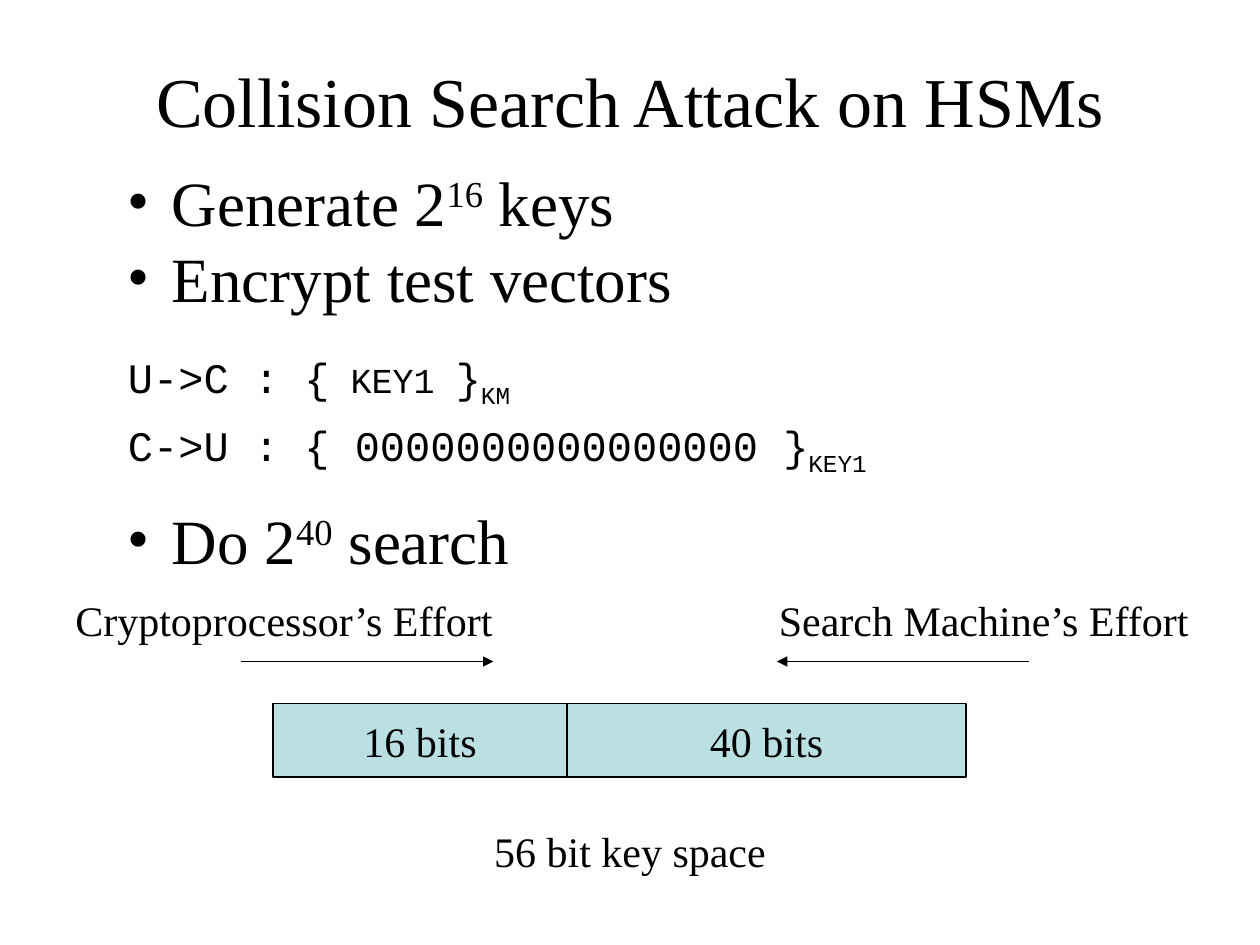
"""Build the slide on a collision search attack on HSMs."""
from lxml.etree import SubElement
from pptx import Presentation
from pptx.dml.color import RGBColor
from pptx.enum.shapes import MSO_CONNECTOR, MSO_SHAPE
from pptx.enum.text import MSO_ANCHOR, MSO_AUTO_SIZE, PP_ALIGN
from pptx.oxml.ns import qn
from pptx.util import Inches, Pt

BLACK = RGBColor(0x00, 0x00, 0x00)
TEAL = RGBColor(0xBB, 0xE0, 0xE3)
SERIF, MONO = "Times New Roman", "Courier New"


def write(p, text, size=24, font=SERIF, base=0, align=None):
    if align is not None:
        p.alignment = align
    r = p.add_run()
    r.text = text
    r.font.size, r.font.name = Pt(size), font
    r.font.color.rgb = BLACK
    if base:
        r.font._element.set("baseline", str(base * 1000))


prs = Presentation()
prs.slide_width, prs.slide_height = Inches(10), Inches(7.5)
col, row = prs.slide_width // 120, prs.slide_height // 90
s = prs.slides.add_slide(prs.slide_layouts[5])

sp = s.shapes.title
sp.left, sp.top, sp.width, sp.height = 3 * col, 2 * row, 114 * col, 15 * row
tf = sp.text_frame
tf.auto_size = MSO_AUTO_SIZE.NONE
tf.vertical_anchor = MSO_ANCHOR.MIDDLE
write(tf.paragraphs[0], "Collision Search Attack on HSMs", size=40, align=PP_ALIGN.CENTER)

for text, left, width in [("16 bits", 26, 28), ("40 bits", 54, 38)]:
    sp = s.shapes.add_shape(MSO_SHAPE.RECTANGLE, left * col, 67 * row, width * col, 7 * row)
    sp.shadow.inherit = False
    sp.fill.solid()
    sp.fill.fore_color.rgb = TEAL
    sp.line.color.rgb = BLACK
    sp.line.width = Pt(0.75)
    tf = sp.text_frame
    tf.word_wrap = False
    tf.vertical_anchor = MSO_ANCHOR.MIDDLE
    write(tf.paragraphs[0], text, align=PP_ALIGN.CENTER)

BULLET, SUP = dict(size=36), dict(size=36, base=30)
CODE, SUB = dict(font=MONO), dict(font=MONO, base=-25)
steps = [
    (True, 0, [("Generate 2", BULLET), ("16", SUP), (" keys", BULLET)]),
    (True, 0, [("Encrypt test vectors", BULLET)]),
    (False, 21, [("U->C : {", CODE), (" KEY1 ", dict(size=20, font=MONO)), ("}", CODE), ("KM", SUB)]),
    (False, 6, [("C->U : { 0000000000000000 }", CODE), ("KEY1", SUB)]),
    (True, 14, [("Do 2", BULLET), ("40", SUP), (" search", BULLET)]),
]
tf = s.shapes.add_textbox(11 * col, 15 * row, 92 * col, 40 * row).text_frame
tf.word_wrap = True
for i, (bulleted, before, runs) in enumerate(steps):
    p = tf.add_paragraph() if i else tf.paragraphs[0]
    if before:
        p.space_before = Pt(before)
    if bulleted:
        pPr = p._p.get_or_add_pPr()
        pPr.set("marL", str(Inches(0.35)))
        pPr.set("indent", str(-Inches(0.35)))
        SubElement(pPr, qn("a:buFont")).set("typeface", SERIF)
        SubElement(pPr, qn("a:buChar")).set("char", "•")
    for text, style in runs:
        write(p, text, **style)

labels = [
    ("Cryptoprocessor’s Effort", 6, 56, 43, PP_ALIGN.LEFT),
    ("Search Machine’s Effort", 73, 56, 43, PP_ALIGN.LEFT),
    ("56 bit key space", 44, 78, 32, PP_ALIGN.CENTER),
]
for text, left, top, width, align in labels:
    sp = s.shapes.add_textbox(left * col, top * row, width * col, 6 * row)
    sp.text_frame.word_wrap = True
    write(sp.text_frame.paragraphs[0], text, align=align)

for start, end in [(98, 74), (23, 47)]:
    sp = s.shapes.add_connector(MSO_CONNECTOR.STRAIGHT, start * col, 63 * row, end * col, 63 * row)
    sp.line.color.rgb = BLACK
    sp.line.width = Pt(0.75)
    SubElement(sp.line._get_or_add_ln(), qn("a:tailEnd")).set("type", "triangle")
    SubElement(sp._element.spPr, qn("a:effectLst"))

prs.save("out.pptx")
